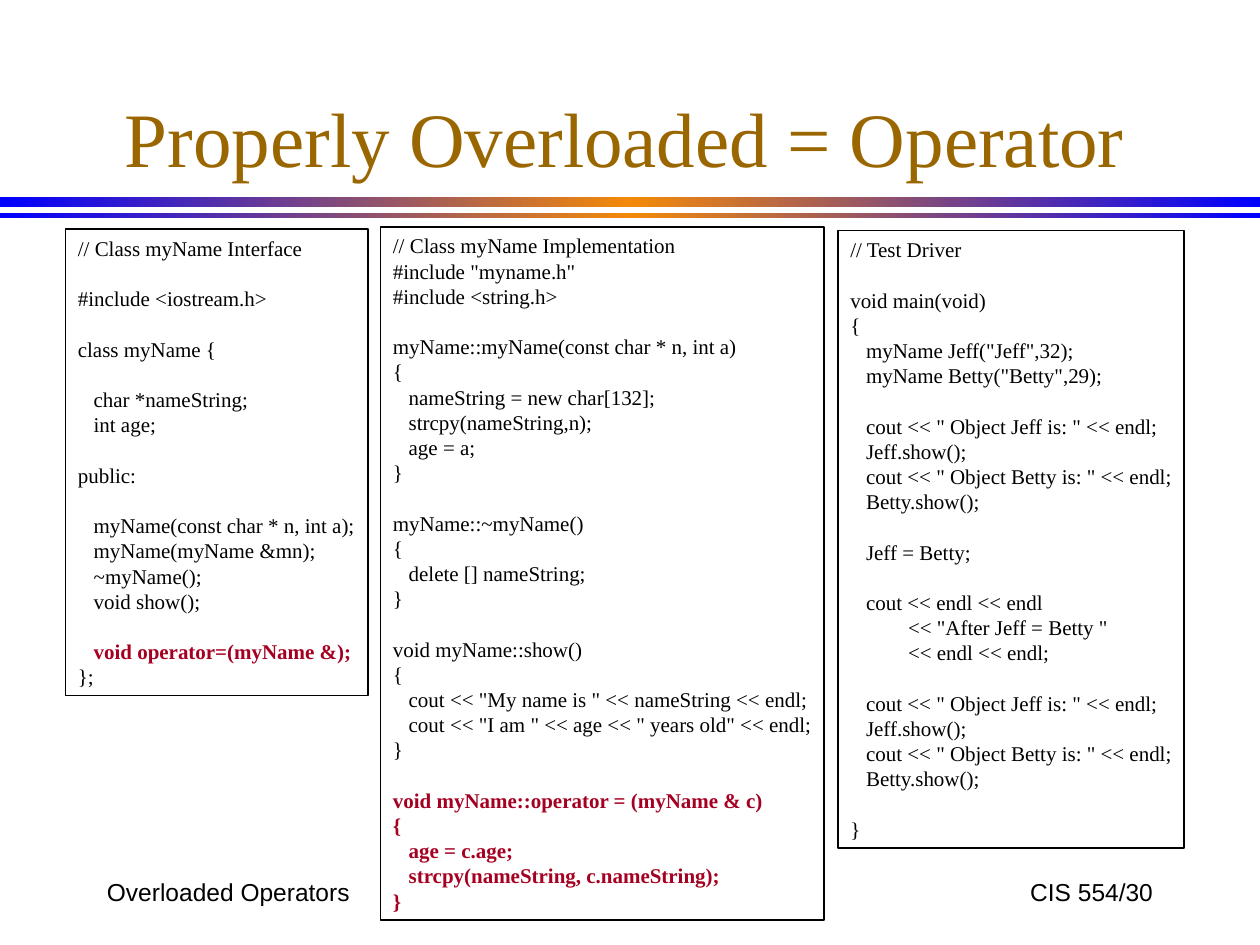
from copy import deepcopy

from pptx import Presentation
from pptx import util as u
from pptx.dml import color
from pptx.enum import shapes, text

COLORS = {
    "ink": "000000",
    "title": "996600",
    "accent": "A50021",
    "band_edge": "0000FF",
    "band_middle": "F38909",
}
SERIF = "Times New Roman"
LINE = u.Inches(0.2)
SPACE = u.Inches(1) // 24

INTERFACE = """// Class myName Interface

#include <iostream.h>

class myName {

   char *nameString;
   int age;

public:

   myName(const char * n, int a);
   myName(myName &mn);
   ~myName();
   void show();

   void operator=(myName &);
};"""

IMPLEMENTATION = """// Class myName Implementation
#include "myname.h"
#include <string.h>

myName::myName(const char * n, int a)
{
   nameString = new char[132];
   strcpy(nameString,n);
   age = a;
}

myName::~myName()
{
   delete [] nameString;
}

void myName::show()
{
   cout << "My name is " << nameString << endl;
   cout << "I am " << age << " years old" << endl;
}

void myName::operator = (myName & c)
{
   age = c.age;
   strcpy(nameString, c.nameString);
}"""

DRIVER = """// Test Driver

void main(void)
{
   myName Jeff("Jeff",32);
   myName Betty("Betty",29);

   cout << " Object Jeff is: " << endl;
   Jeff.show();
   cout << " Object Betty is: " << endl;
   Betty.show();

   Jeff = Betty;

   cout << endl << endl
           << "After Jeff = Betty "
           << endl << endl;

   cout << " Object Jeff is: " << endl;
   Jeff.show();
   cout << " Object Betty is: " << endl;
   Betty.show();

}"""

PANELS = [
    ((0.52, 1.82, 2.4, 3.7), INTERFACE, range(16, 17)),
    ((3.02, 1.8, 3.52, 5.5), IMPLEMENTATION, range(22, 27)),
    ((6.65, 1.83, 2.75, 4.9), DRIVER, range(0)),
]


def rgb(name):
    return color.RGBColor.from_string(COLORS[name])


def inches(box):
    return [u.Inches(length) for length in box]


def set_all(target, **values):
    for name, value in values.items():
        setattr(target, name, value)


def add_span(para, words, size, face, ink, bold=False):
    span = para.add_run()
    span.text = words
    set_all(span.font, size=u.Pt(size), name=face, bold=bold)
    span.font.color.rgb = rgb(ink)


def add_rectangle(page, box):
    shape = page.shapes.add_shape(shapes.MSO_SHAPE.RECTANGLE, *inches(box))
    shape.shadow.inherit = False
    return shape


def add_band(page, box):
    band = add_rectangle(page, box)
    band.line.fill.background()
    band.fill.gradient()
    band.fill.gradient_angle = 0
    first = band.fill.gradient_stops[0]._gs
    first.addnext(deepcopy(first))
    stops = zip(band.fill.gradient_stops, (0, 0.5, 1),
                ("band_edge", "band_middle", "band_edge"))
    for stop, position, name in stops:
        stop.position = position
        stop.color.rgb = rgb(name)


def add_title(page, box, words):
    title = page.shapes.title
    set_all(title, **dict(zip(("left", "top", "width", "height"), inches(box))))
    set_all(title.text_frame, word_wrap=True,
            vertical_anchor=text.MSO_ANCHOR.BOTTOM,
            auto_size=text.MSO_AUTO_SIZE.NONE)
    para = title.text_frame.paragraphs[0]
    para.alignment = text.PP_ALIGN.CENTER
    add_span(para, words, 44, SERIF, "title")


def add_footer(page, box, words, alignment):
    frame = page.shapes.add_textbox(*inches(box)).text_frame
    set_all(frame, word_wrap=True, vertical_anchor=text.MSO_ANCHOR.MIDDLE)
    para = frame.paragraphs[0]
    para.alignment = alignment
    add_span(para, words, 14, "Arial", "ink")


def add_code_panel(page, box, code, accented):
    panel = add_rectangle(page, box)
    panel.fill.background()
    panel.line.color.rgb = rgb("ink")
    panel.line.width = u.Pt(1)
    frame = panel.text_frame
    set_all(frame, word_wrap=True, margin_right=u.Inches(0),
            vertical_anchor=text.MSO_ANCHOR.TOP,
            auto_size=text.MSO_AUTO_SIZE.NONE)
    gap = 0
    for number, line in enumerate(code.splitlines()):
        if not line:
            gap = LINE
            continue
        para = frame.add_paragraph() if number else frame.paragraphs[0]
        set_all(para, alignment=text.PP_ALIGN.LEFT, line_spacing=LINE,
                space_before=u.Emu(gap))
        words = line.lstrip()
        indent = (len(line) - len(words)) * SPACE
        para._p.get_or_add_pPr().set("marL", str(indent))
        marked = number in accented
        add_span(para, words, 12, SERIF, "accent" if marked else "ink", marked)
        gap = 0


def main():
    deck = Presentation()
    set_all(deck, slide_width=u.Inches(10), slide_height=u.Inches(7.5))
    page = deck.slides.add_slide(deck.slide_layouts[5])
    add_band(page, (0, 1.56, 10, 0.08))
    add_band(page, (0, 1.69, 10, 0.04))
    add_title(page, (0.67, 0.25, 8.58, 1.25), "Properly Overloaded = Operator")
    add_footer(page, (0.75, 6.83, 2.2, 0.5), "Overloaded Operators",
               text.PP_ALIGN.LEFT)
    add_footer(page, (7.17, 6.83, 2.08, 0.5), "CIS 554/30",
               text.PP_ALIGN.RIGHT)
    for box, code, accented in PANELS:
        add_code_panel(page, box, code, accented)
    deck.save("out.pptx")


if __name__ == "__main__":
    main()
